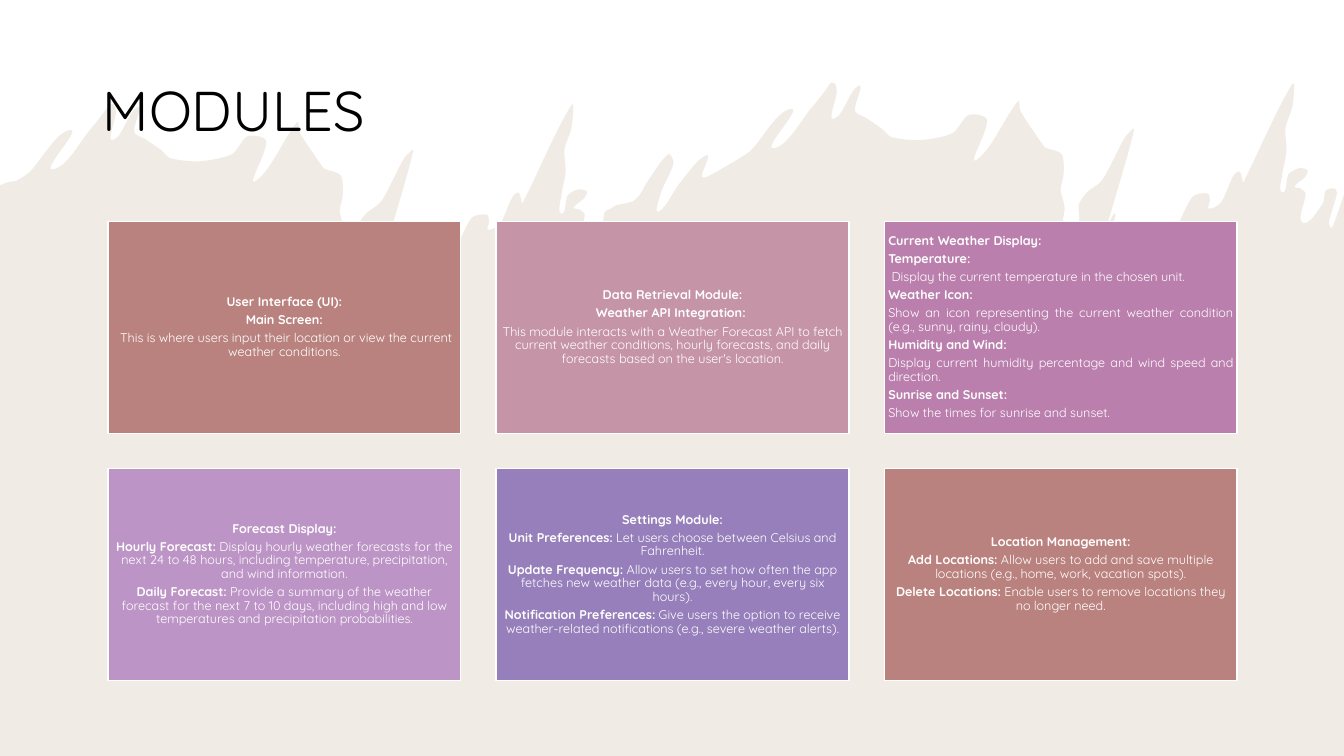
from dataclasses import dataclass
from math import dist

from lxml.etree import SubElement
from pptx import Presentation
from pptx.dml.color import RGBColor
from pptx.enum.shapes import MSO_SHAPE as Shape
from pptx.enum.text import MSO_ANCHOR as Anchor, MSO_AUTO_SIZE as AutoSize, PP_ALIGN as Align
from pptx.oxml.ns import qn
from pptx.shapes.autoshape import Shape as AutoShape
from pptx.slide import Slide
from pptx.text.text import TextFrame
from pptx.util import Inches, Pt

Point = tuple[float, float]
Line = tuple[str, str]  # bold lead, plain continuation

WIDTH, HEIGHT = 13.33, 7.5
FONT = "Quicksand"
COLORS = {
    "white": "FFFFFF", "black": "000000", "sand": "BA9C80", "clay": "BA827F",
    "rose": "C594A6", "orchid": "BA7FAD", "lilac": "BC94C5", "violet": "967FBA",
}

# Card grid
LEFT, TOP = 1.07, 2.2
CARD_W, CARD_H, GAP = 3.5, 2.1, 0.35
COLUMNS = 3

# Torn edge: the crest occurs twice, the second time shifted
SHIFT = (7.15, -0.21)
EDGE_START = [(0, 1.84), (0.07, 1.81)]
CREST = [
    (0.17, 1.79), (0.3, 1.7), (0.7, 1.29), (0.52, 1.68), (0.9, 1.28), (1.05, 1.09),
    (1.09, 1.03), (1.13, 1.04), (1.15, 1.12), (1.12, 1.39), (1.37, 1.06), (1.33, 1.31),
    (1.44, 1.38), (1.6, 1.49), (1.69, 1.57), (1.98, 1.6), (2.3, 1.53), (2.46, 1.35),
    (2.64, 1.4), (2.53, 1.8), (2.95, 1.21), (2.97, 1.31), (3.21, 1.67), (3.23, 1.68),
    (3.38, 1.74), (3.4, 1.94), (3.37, 2.09), (3.41, 2.27), (3.39, 2.42), (3.42, 2.55),
    (3.55, 2.42), (3.55, 2.24), (3.63, 2.12), (3.78, 2), (4.01, 1.57), (4.1, 1.49),
    (3.76, 2.71), (3.9, 2.33), (3.87, 2.59), (3.97, 2.73), (4, 2.73), (4.09, 2.62),
    (4.15, 2.56), (4.36, 2.4), (4.39, 2.51), (4.43, 2.56), (4.49, 2.53), (4.68, 2.16),
    (4.83, 2.13), (4.85, 2.2), (4.84, 2.28), (4.96, 2.22), (5.08, 1.96), (5.14, 1.91),
    (5.17, 1.98), (5.18, 2.02), (5.67, 1.04), (5.67, 1.26), (5.6, 1.48), (5.61, 1.71),
    (5.57, 1.93), (5.57, 2.12), (5.63, 1.94), (5.73, 1.88), (5.82, 1.9), (5.79, 1.97),
    (5.69, 2.06), (5.75, 2.08), (5.8, 2.13), (5.77, 2.42), (5.97, 2.23), (6, 2.1),
]
SADDLE = [
    (6.06, 2.07), (6.1, 2.04), (6.27, 2), (6.34, 1.94), (6.43, 1.79), (6.63, 1.53),
    (6.68, 1.62), (6.56, 1.9), (6.53, 2.1), (6.74, 1.82), (7.01, 1.54), (6.96, 1.75),
    (7, 1.76),
]
EDGE_END = [(13.24, 1.87), (13.26, 1.92), (13.18, 2.21), (13.21, 2.26), (WIDTH, 1.93)]


@dataclass
class Module:
    color: str
    lines: list[Line]
    align: Align = Align.CENTER


MODULES = [
    Module("clay", [
        ("User Interface (UI):", ""),
        ("Main Screen:", ""),
        ("", " This is where users input their location or view the current weather conditions."),
    ]),
    Module("rose", [
        ("Data Retrieval Module:", ""),
        ("Weather API Integration: ", ""),
        ("", "This module interacts with a Weather Forecast API to fetch current weather conditions, "
             "hourly forecasts, and daily forecasts based on the user's location."),
    ]),
    Module("orchid", [
        ("Current Weather Display:", ""),
        ("Temperature:", ""),
        ("", " Display the current temperature in the chosen unit."),
        ("Weather Icon: ", ""),
        ("", "Show an icon representing the current weather condition (e.g., sunny, rainy, cloudy)."),
        ("Humidity and Wind: ", ""),
        ("", "Display current humidity percentage and wind speed and direction."),
        ("Sunrise and Sunset: ", ""),
        ("", "Show the times for sunrise and sunset."),
    ], Align.JUSTIFY),
    Module("lilac", [
        ("Forecast Display:", ""),
        ("Hourly Forecast:", " Display hourly weather forecasts for the next 24 to 48 hours, "
                             "including temperature, precipitation, and wind information."),
        ("Daily Forecast:", " Provide a summary of the weather forecast for the next 7 to 10 days, "
                            "including high and low temperatures and precipitation probabilities."),
    ]),
    Module("violet", [
        ("Settings Module:", ""),
        ("Unit Preferences:", " Let users choose between Celsius and Fahrenheit."),
        ("Update Frequency:", " Allow users to set how often the app fetches new weather data "
                              "(e.g., every hour, every six hours)."),
        ("Notification Preferences:", " Give users the option to receive weather-related "
                                      "notifications (e.g., severe weather alerts)."),
    ]),
    Module("clay", [
        ("Location Management:", ""),
        ("Add Locations:", " Allow users to add and save multiple locations "
                           "(e.g., home, work, vacation spots)."),
        ("Delete Locations:", " Enable users to remove locations they no longer need."),
    ]),
]


def rgb(name: str) -> RGBColor:
    return RGBColor.from_string(COLORS[name])


def paint(shape: AutoShape, color: str) -> None:
    shape.shadow.inherit = False
    shape.fill.solid()
    shape.fill.fore_color.rgb = rgb(color)
    shape.line.fill.background()


def write(frame: TextFrame, lines: list[Line], *, size: float, color: str,
          align: Align, after: float = 0, inset: float = 0.1) -> None:
    frame.word_wrap = True
    frame.auto_size = AutoSize.NONE
    frame.vertical_anchor = Anchor.MIDDLE
    frame.margin_left = frame.margin_right = Inches(inset)
    frame.margin_top = frame.margin_bottom = Inches(min(inset, 0.05))
    for index, line in enumerate(lines):
        paragraph = frame.add_paragraph() if index else frame.paragraphs[0]
        paragraph.alignment = align
        paragraph.line_spacing = 0.9
        paragraph.space_after = Pt(after)
        for words, bold in zip(line, (True, False)):
            if words:
                run = paragraph.add_run()
                run.text = words
                run.font.name, run.font.size, run.font.bold = FONT, Pt(size), bold
                run.font.color.rgb = rgb(color)


def round_edge(paper: AutoShape, pull: float = 0.25) -> None:
    """Turn the straight segments between the edge's ends into Bezier curves."""
    segments = list(paper._element.iter(qn("a:lnTo")))[:-1]  # the last one runs down the side
    points = [(int(s[0].get("x")), int(s[0].get("y"))) for s in segments]

    def handle(index: int, reach: float) -> Point:
        before, after = points[max(index - 1, 0)], points[min(index + 1, len(points) - 1)]
        scale = reach / dist(before, after)
        return tuple(p + (b - a) * scale for p, a, b in zip(points[index], before, after))

    for i, segment in enumerate(segments[1:]):
        reach = pull * dist(points[i], points[i + 1])
        segment.tag = qn("a:cubicBezTo")
        for position, (x, y) in enumerate((handle(i, reach), handle(i + 1, -reach))):
            control = SubElement(segment, qn("a:pt"), x=str(round(x)), y=str(round(y)))
            segment.insert(position, control)


def draw_torn_paper(slide: Slide) -> None:
    second_crest = [(x + SHIFT[0], y + SHIFT[1]) for x, y in CREST]
    outline = EDGE_START + CREST + SADDLE + second_crest + EDGE_END + [(WIDTH, HEIGHT)]
    builder = slide.shapes.build_freeform(0, Inches(HEIGHT))
    builder.add_line_segments([(Inches(x), Inches(y)) for x, y in outline], close=True)
    paper = builder.convert_to_shape()
    paint(paper, "sand")
    tint = paper.fill._xPr.find(qn("a:solidFill"))[0]
    SubElement(tint, qn("a:alpha"), val="20000")
    round_edge(paper)


def draw_module(slide: Slide, module: Module, column: int, row: int) -> None:
    card = slide.shapes.add_shape(
        Shape.RECTANGLE, Inches(LEFT + column * (CARD_W + GAP)),
        Inches(TOP + row * (CARD_H + GAP)), Inches(CARD_W), Inches(CARD_H))
    paint(card, module.color)
    card.line.color.rgb = rgb("white")
    card.line.width = Pt(1)
    write(card.text_frame, module.lines, size=9, color="white",
          align=module.align, after=3.15, inset=0.04)


def main() -> None:
    deck = Presentation()
    deck.slide_width, deck.slide_height = Inches(WIDTH), Inches(HEIGHT)
    slide = deck.slides.add_slide(deck.slide_layouts[5])

    # Background
    backdrop = slide.shapes.add_shape(Shape.RECTANGLE, 0, 0, Inches(WIDTH), Inches(HEIGHT))
    paint(backdrop, "white")
    draw_torn_paper(slide)

    # Title, brought in front of the paper
    title = slide.shapes.title
    title.left, title.top, title.width, title.height = map(Inches, (0.92, 0.4, 11.5, 1.45))
    write(title.text_frame, [("", "MODULES")], size=40, color="black", align=Align.LEFT)
    slide.shapes._spTree.append(title._element)

    # Module cards
    for index, module in enumerate(MODULES):
        row, column = divmod(index, COLUMNS)
        draw_module(slide, module, column, row)

    deck.save("out.pptx")


if __name__ == "__main__":
    main()
